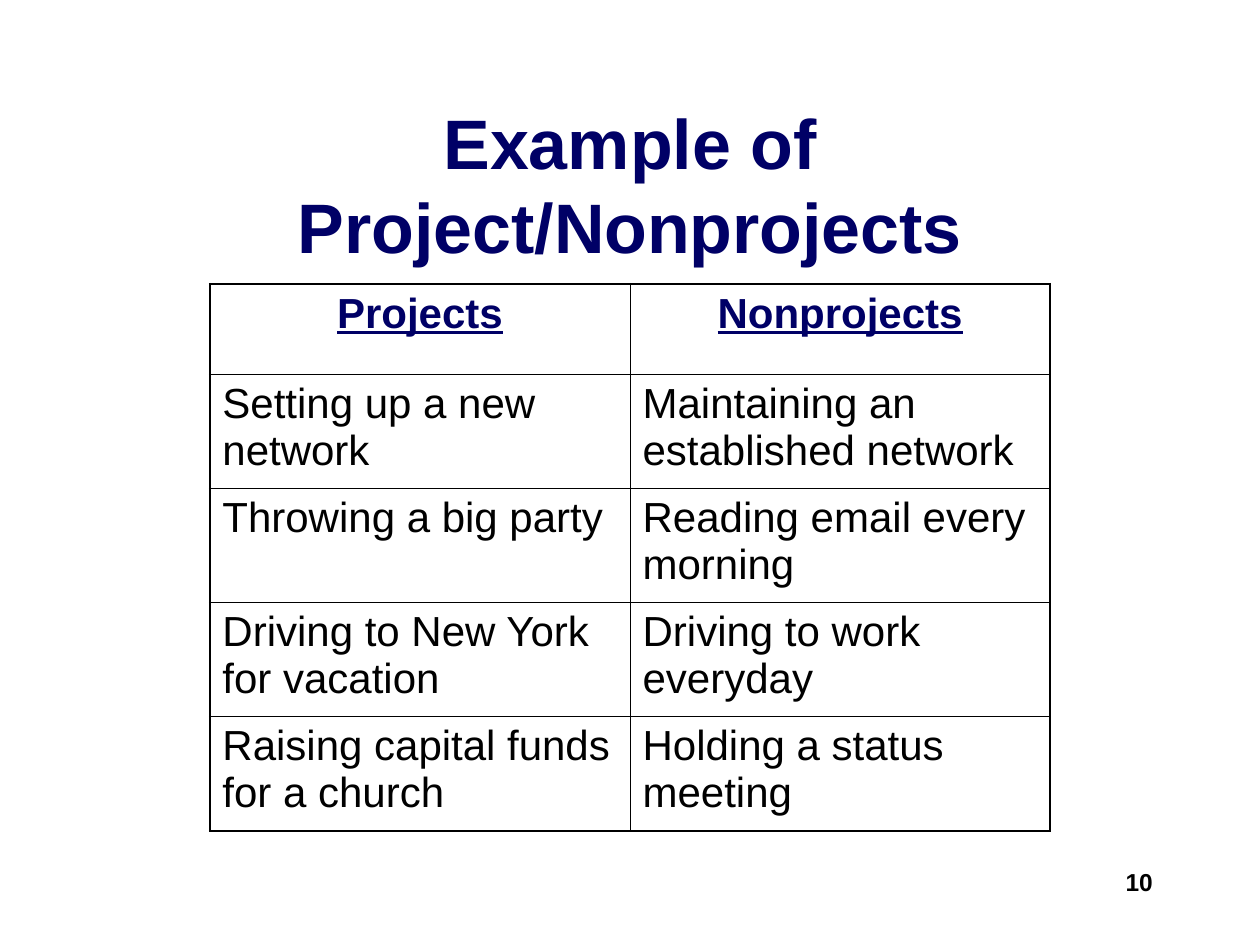
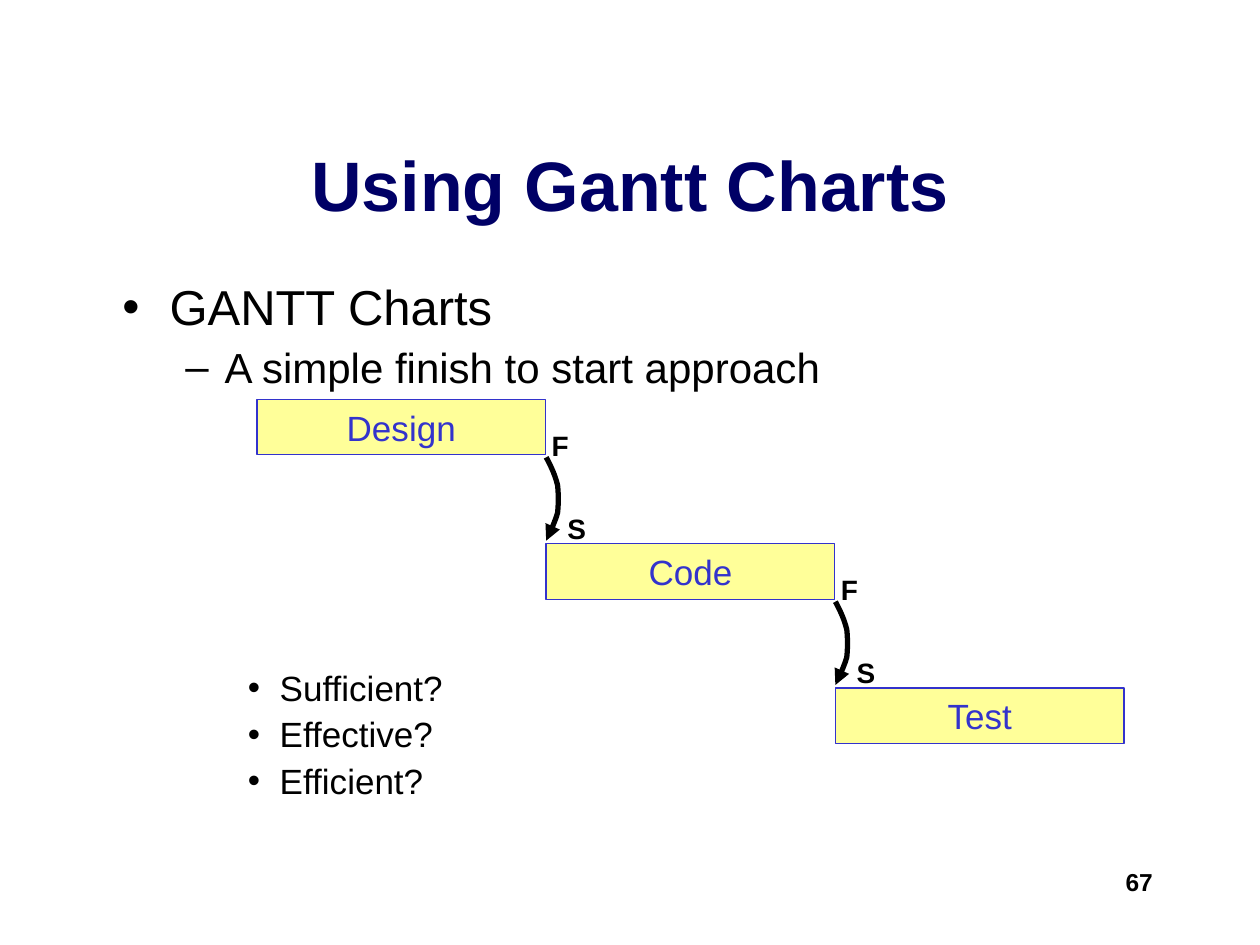
import pptx
import pptx.util
import pptx.dml.color
import pptx.enum.shapes
import pptx.enum.text
import pptx.oxml.ns
import lxml.etree

Cm, Pt = pptx.util.Cm, pptx.util.Pt
Align = pptx.enum.text.PP_ALIGN
Anchor = pptx.enum.text.MSO_ANCHOR
RECT = pptx.enum.shapes.MSO_SHAPE.RECTANGLE

NAVY, BLACK, BLUE, YELLOW = "000066", "000000", "3333CC", "FFFF99"
FONT = "Arial"

PAIRS = [
    ("Projects", "Nonprojects"),
    ("Setting up a new network", "Maintaining an established network"),
    ("Throwing a big party", "Reading email every morning"),
    ("Driving to New York for vacation", "Driving to work everyday"),
    ("Raising capital funds for a church", "Holding a status meeting"),
]
HEADS = [("GANTT Charts", 0), ("A simple finish to start approach", 1)]
ASKS = [("Sufficient?", 2), ("Effective?", 2), ("Efficient?", 2)]
LEVELS = [
    dict(size=28, left=0.95, hang=0.95, gap=7, mark="•"),
    dict(size=24, left=2.06, hang=0.79, gap=6, mark="–"),
    dict(size=20, left=3.17, hang=0.64, gap=5, mark="•"),
]
TASKS = ["Design", "Code", "Test"]
TASK_X, TASK_Y, TASK_W, TASK_H = 5.18, 8.05, 5.82, 1.12
STEP_X, STEP_Y = 5.83, 2.91
ENDS = [("F", 5.69, 0.46), ("S", 6.01, 2.14)]
BEND = [
    [(0, 0), (0.1, 0.18), (0.18, 0.36), (0.23, 0.56)],
    [(0.23, 0.56), (0.25, 0.74), (0.25, 0.94), (0.23, 1.12)],
    [(0.23, 1.12), (0.18, 1.3), (0.05, 1.58), (0, 1.68)],
]


def color(code):
    return pptx.dml.color.RGBColor.from_string(code)


def add(node, tag, **attrs):
    return lxml.etree.SubElement(node, pptx.oxml.ns.qn(tag), attrs)


def style(par, size, code, bold=False, align=Align.LEFT):
    par.alignment = align
    font = par.font
    font.name, font.size, font.bold = FONT, Pt(size), bold
    font.color.rgb = color(code)


def add_box(slide, x, y, w, h, wrap=True):
    frame = slide.shapes.add_textbox(Cm(x), Cm(y), Cm(w), Cm(h)).text_frame
    frame.word_wrap = wrap
    return frame


def add_slide(deck, title, number):
    slide = deck.slides.add_slide(deck.slide_layouts[6])
    frame = add_box(slide, 1.9, 2.11, 21.6, 3.18)
    frame.vertical_anchor = Anchor.MIDDLE
    frame.text = title
    style(frame.paragraphs[0], 40, NAVY, True, Align.CENTER)
    frame = add_box(slide, 18.21, 17.35, 5.28, 1.27)
    frame.text = number
    style(frame.paragraphs[0], 14, BLACK, True, Align.RIGHT)
    return slide


def add_grid(slide):
    rows, cols = len(PAIRS), len(PAIRS[0])
    grid = slide.shapes.add_table(rows, cols, Cm(4.23), Cm(5.72), Cm(16.94), Cm(11.02)).table
    grid.first_row = grid.horz_banding = False
    for r, pair in enumerate(PAIRS):
        grid.rows[r].height = Cm(2.3 if r else 1.83)
        for c, text in enumerate(pair):
            cell = grid.cell(r, c)
            cell.text = text
            par = cell.text_frame.paragraphs[0]
            if r == 0:
                style(par, 24, NAVY, True, Align.CENTER)
                par.font.underline = True
            else:
                style(par, 24, BLACK)
            outer = {"L": c == 0, "R": c == cols - 1, "T": r == 0, "B": r == rows - 1}
            for side, edge in outer.items():
                width = Pt(1.08 if edge else 0.45)
                line = add(cell._tc.get_or_add_tcPr(), "a:ln" + side, w=str(width))
                add(add(line, "a:solidFill"), "a:srgbClr", val=BLACK)
            cell.fill.background()


def add_list(slide, y, h, items):
    frame = add_box(slide, 2.22, y, 21.6, h)
    for i, (text, depth) in enumerate(items):
        level = LEVELS[depth]
        par = frame.add_paragraph() if i else frame.paragraphs[0]
        par.text, par.level, par.line_spacing = text, depth, 0.9
        par.space_before = Pt(level["gap"] if i else 0)
        props = par._p.get_or_add_pPr()
        props.set("marL", str(Cm(level["left"])))
        props.set("indent", str(-Cm(level["hang"])))
        add(add(props, "a:buClr"), "a:srgbClr", val=BLACK)
        add(props, "a:buFont", typeface=FONT)
        add(props, "a:buChar", char=level["mark"])
        style(par, level["size"], BLACK)


def add_task(slide, x, y, name):
    bar = slide.shapes.add_shape(RECT, Cm(x), Cm(y), Cm(TASK_W), Cm(TASK_H))
    bar.shadow.inherit = False
    bar.fill.solid()
    bar.fill.fore_color.rgb = color(YELLOW)
    bar.line.color.rgb = color(BLUE)
    bar.line.width = Pt(0.75)
    bar.text_frame.text = name
    bar.text_frame.vertical_anchor = Anchor.MIDDLE
    style(bar.text_frame.paragraphs[0], 20, BLUE, align=Align.CENTER)


def curve(knots, t):
    parts = ((1 - t) ** 3, 3 * t * (1 - t) ** 2, 3 * t * t * (1 - t), t ** 3)
    return [sum(p * k[axis] for p, k in zip(parts, knots)) for axis in (0, 1)]


def add_arrow(slide, x, y):
    steps = 6
    dots = [curve(knots, n / steps) for knots in BEND for n in range(1, steps + 1)]
    path = slide.shapes.build_freeform(Cm(x), Cm(y))
    path.add_line_segments([(Cm(x + dx), Cm(y + dy)) for dx, dy in dots], close=False)
    arrow = path.convert_to_shape()
    arrow.shadow.inherit = False
    arrow.fill.background()
    arrow.line.color.rgb = color(BLACK)
    arrow.line.width = Pt(3)
    add(arrow.line._get_or_add_ln(), "a:tailEnd", type="triangle")


def add_gantt(slide):
    for i, name in enumerate(TASKS):
        x, y = TASK_X + i * STEP_X, TASK_Y + i * STEP_Y
        add_task(slide, x, y, name)
        if i == len(TASKS) - 1:
            continue
        add_arrow(slide, x + STEP_X, y + TASK_H + 0.05)
        for text, dx, dy in ENDS:
            frame = add_box(slide, x + dx, y + dy, 0.86, 0.94, False)
            frame.text = text
            style(frame.paragraphs[0], 16, BLACK, True)


def main():
    deck = pptx.Presentation()
    deck.slide_width, deck.slide_height = Cm(25.4), Cm(19.05)
    add_grid(add_slide(deck, "Example of Project/Nonprojects", "10"))
    slide = add_slide(deck, "Using Gantt Charts", "67")
    add_list(slide, 5.59, 2.4, HEADS)
    add_list(slide, 13.4, 3.2, ASKS)
    add_gantt(slide)
    deck.save("out.pptx")


if __name__ == "__main__":
    main()
